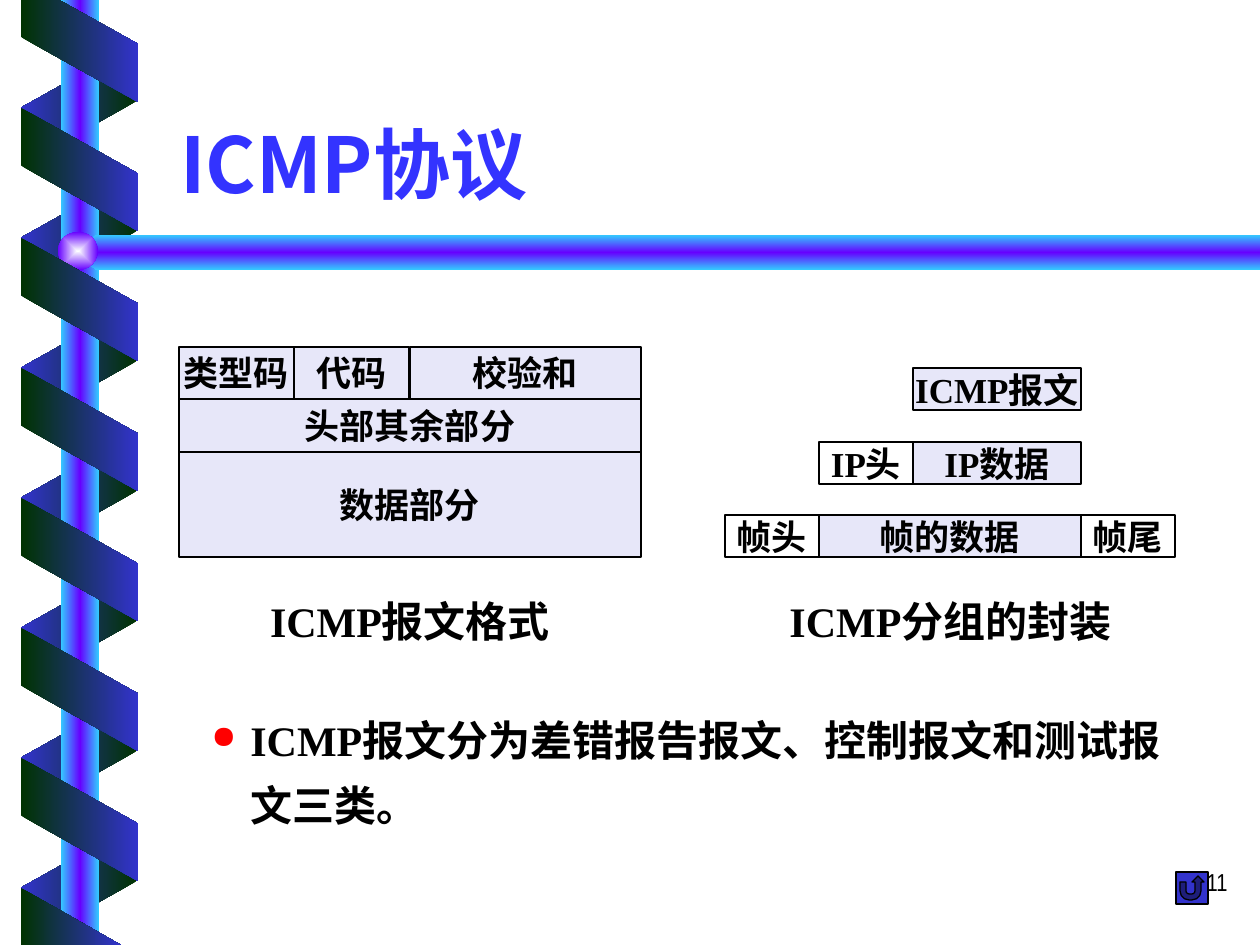
from lxml import etree
from pptx import Presentation
from pptx.dml.color import RGBColor
from pptx.enum.shapes import MSO_SHAPE
from pptx.enum.text import MSO_ANCHOR, PP_ALIGN
from pptx.oxml.ns import qn
from pptx.util import Pt

EMU_PER_PX = 914400 / 126

BLACK = RGBColor(0x00, 0x00, 0x00)
WHITE = RGBColor(0xFF, 0xFF, 0xFF)
RED = RGBColor(0xFF, 0x00, 0x00)
TITLE_BLUE = RGBColor(0x33, 0x33, 0xFF)
LAVENDER = RGBColor(0xE7, 0xE7, 0xF9)
INDIGO = RGBColor(0x33, 0x33, 0xCC)
DARK_GREEN = RGBColor(0x00, 0x33, 0x00)
SKY = RGBColor(0x33, 0xCC, 0xFF)
VIOLET = RGBColor(0x66, 0x00, 0xFF)
PALE = RGBColor(0xFE, 0xFF, 0xFF)

RECT, OVAL = MSO_SHAPE.RECTANGLE, MSO_SHAPE.OVAL
PARALLELOGRAM = MSO_SHAPE.PARALLELOGRAM
RETURN_BUTTON = MSO_SHAPE.ACTION_BUTTON_RETURN
LEFT, CENTER, RIGHT = PP_ALIGN.LEFT, PP_ALIGN.CENTER, PP_ALIGN.RIGHT
TOP, MIDDLE, BOTTOM = MSO_ANCHOR.TOP, MSO_ANCHOR.MIDDLE, MSO_ANCHOR.BOTTOM

SERIF, SANS, NARROW = "Times New Roman", "Noto Sans CJK SC", "Arial Narrow"


def px(n):
    return round(n * EMU_PER_PX)


def set_gradient(sp, colors, angle=0, radial=False):
    """Evenly spaced stops that keep their direction when the shape turns."""
    sp.shadow.inherit = False
    sp.line.fill.background()
    sp.fill.background()
    old = sp._element.spPr.find(qn("a:noFill"))
    grad = etree.Element(qn("a:gradFill"), rotWithShape="0")
    stops = etree.SubElement(grad, qn("a:gsLst"))
    for i, color in enumerate(colors):
        pos = round(100000 * i / (len(colors) - 1))
        gs = etree.SubElement(stops, qn("a:gs"), pos=str(pos))
        etree.SubElement(gs, qn("a:srgbClr"), val=str(color))
    if radial:
        shade = etree.SubElement(grad, qn("a:path"), path="rect")
        etree.SubElement(shade, qn("a:fillToRect"),
                         l="50000", t="50000", r="50000", b="50000")
    else:
        etree.SubElement(grad, qn("a:lin"), ang=str(angle * 60000), scaled="0")
    old.getparent().replace(old, grad)


def add_preset(slide, kind, x, y, w, h):
    return slide.shapes.add_shape(kind, px(x), px(y), px(w), px(h))


def add_polygon(slide, points):
    start, *rest = [(px(x), px(y)) for x, y in points]
    builder = slide.shapes.build_freeform(*start)
    builder.add_line_segments(rest, close=True)
    return builder.convert_to_shape()


def write(sp, text, size, font, color=BLACK, bold=True, align=LEFT,
          anchor=TOP, wrap=True):
    tf = sp.text_frame
    tf.text = text
    tf.word_wrap = wrap
    tf.vertical_anchor = anchor
    p = tf.paragraphs[0]
    p.alignment = align
    f = p.runs[0].font
    f.size, f.bold, f.name = Pt(size), bold, font
    f.color.rgb = color
    ea = etree.Element(qn("a:ea"), typeface=SANS)
    f._element.find(qn("a:latin")).addnext(ea)
    return p


def add_label(slide, x, y, w, h, text, size, font, **style):
    sp = slide.shapes.add_textbox(px(x), px(y), px(w), px(h))
    return write(sp, text, size, font, **style)


def add_solid(slide, kind, x, y, w, h, fill):
    sp = add_preset(slide, kind, x, y, w, h)
    sp.shadow.inherit = False
    sp.fill.solid()
    sp.fill.fore_color.rgb = fill
    sp.line.color.rgb = BLACK
    sp.line.width = Pt(0.75)
    return sp


def add_cells(slide, x, y, cells):
    for dx, dy, w, h, text, fill in cells:
        sp = add_solid(slide, RECT, x + dx, y + dy, w, h, fill)
        write(sp, text, 20, SERIF, align=CENTER, anchor=MIDDLE, wrap=False)


def add_ribbon_turns(slide, x, y, h, count, rotation, colors):
    for i in range(count):
        sp = add_preset(slide, PARALLELOGRAM, x, y + 130 * i, 123, h)
        sp.adjustments[0] = 0.56
        sp.rotation = rotation
        if rotation == 90:
            sp._element.spPr.find(qn("a:xfrm")).set("flipH", "1")
        set_gradient(sp, colors)


def add_decoration(slide, x, y):
    ribbon = [DARK_GREEN, INDIGO]
    tube = [SKY, VIOLET, SKY]
    # Ribbon behind the pole
    add_ribbon_turns(slide, x, y + 46, 116, 7, 90, ribbon)
    # Pole, crossbar and ball
    set_gradient(add_preset(slide, RECT, x + 43, y, 38, 945), tube)
    bar = [(1260, y + 235), (x + 78, y + 235), (x + 58, y + 252),
           (x + 78, y + 270), (1260, y + 270)]
    set_gradient(add_polygon(slide, bar), tube, angle=90)
    ball = add_preset(slide, OVAL, x + 40, y + 232, 40, 38)
    set_gradient(ball, [PALE, VIOLET], radial=True)
    # Ribbon in front, cut off at the slide edges
    add_ribbon_turns(slide, x, y + 111, 117, 6, 270, ribbon)
    top_end = [(3, 0), (3, 37), (120, 102), (120, 44), (41, 0)]
    bottom_end = [(103, 945), (3, 888), (3, 945)]
    for points in (top_end, bottom_end):
        sp = add_polygon(slide, [(x + dx, y + dy) for dx, dy in points])
        set_gradient(sp, ribbon)


def add_message_format(slide, x, y, w):
    add_cells(slide, x, y, [
        (0, 0, w // 4, 52, "类型码", LAVENDER),
        (w // 4, 0, w // 4, 52, "代码", LAVENDER),
        (w // 2, 0, w // 2, 52, "校验和", LAVENDER),
        (0, 52, w, 53, "头部其余部分", LAVENDER),
        (0, 105, w, 105, "数据部分", LAVENDER),
    ])
    add_label(slide, x, y + 242, w, 63, "ICMP报文格式", 24, SERIF, align=CENTER)


def add_encapsulation(slide, x, y, w):
    end, data, h = 94, 168, 42
    add_cells(slide, x, y, [
        (2 * end, 0, data, h, "ICMP报文", LAVENDER),
        (2 * end, 74, data, h, "IP数据", LAVENDER),
        (end, 147, end + data, h, "帧的数据", LAVENDER),
        (end, 74, end, h, "IP头", WHITE),
        (2 * end + data, 147, end, h, "帧尾", WHITE),
        (0, 147, end, h, "帧头", WHITE),
    ])
    add_label(slide, x, y + 221, w, 63, "ICMP分组的封装", 24, SERIF, align=CENTER)


def add_summary(slide, x, y, w, h):
    p = add_label(slide, x, y, w, h,
                  "ICMP报文分为差错报告报文、控制报文和测试报文三类。", 24, SERIF)
    p.line_spacing = 1.3
    pPr = p._p.get_or_add_pPr()
    pPr.set("marL", str(px(102)))
    pPr.set("indent", str(px(-39)))
    color = etree.SubElement(pPr, qn("a:buClr"))
    etree.SubElement(color, qn("a:srgbClr"), val=str(RED))
    etree.SubElement(pPr, qn("a:buSzPct"), val="75000")
    etree.SubElement(pPr, qn("a:buChar"), char="●")


def add_footer(slide, x, y, w, h):
    add_label(slide, x, y, w, h, "111", 14, NARROW, bold=False, align=RIGHT)
    add_solid(slide, RETURN_BUTTON, x + 198, y + 11, 32, 32, INDIGO)


def main():
    prs = Presentation()
    prs.slide_width, prs.slide_height = px(1260), px(945)
    slide = prs.slides.add_slide(prs.slide_layouts[6])
    add_decoration(slide, 18, 0)
    add_label(slide, 168, 58, 1071, 157, "ICMP协议", 44, SANS,
              color=TITLE_BLUE, anchor=BOTTOM)
    add_message_format(slide, 179, 347, 462)
    add_encapsulation(slide, 725, 368, 451)
    add_summary(slide, 136, 693, 1071, 147)
    add_footer(slide, 978, 861, 262, 63)
    prs.save("out.pptx")


if __name__ == "__main__":
    main()
